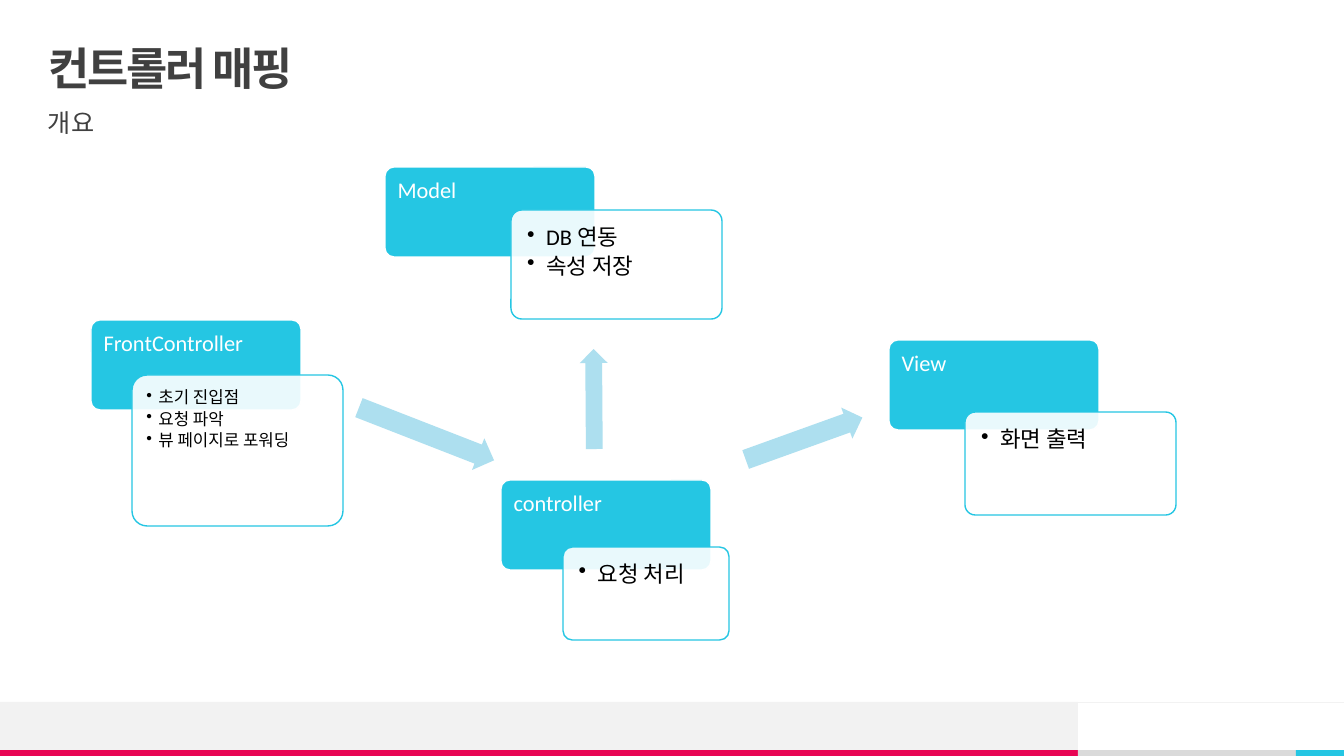
import pptx
import pptx.util
import pptx.dml.color
import pptx.enum.shapes
import pptx.enum.text
import pptx.oxml.ns
import lxml.etree

PX = 12192000 / 1344
KIND = pptx.enum.shapes.MSO_SHAPE
ANCHOR = pptx.enum.text.MSO_ANCHOR
qn = pptx.oxml.ns.qn
theme = {
    "font": "Calibri",
    "cyan": "25C6E3", "pale": "ADDFEF", "pink": "E80554", "white": "FFFFFF",
    "black": "000000", "dark": "404040", "mist": "F2F2F2", "gray": "DADADA",
    "title": 32, "sub": 18, "head": 16, "small": 12,
}

deck = pptx.Presentation()
deck.slide_width, deck.slide_height = round(1344 * PX), round(756 * PX)
slide = deck.slides.add_slide(deck.slide_layouts[5])
shapes = slide.shapes


def draw(kind, box, fill, line=None):
    shape = shapes.add_shape(kind, *[round(n * PX) for n in box])
    shape.shadow.inherit = False
    shape.fill.solid()
    shape.fill.fore_color.rgb = pptx.dml.color.RGBColor.from_string(theme[fill])
    if line:
        shape.line.color.rgb = pptx.dml.color.RGBColor.from_string(theme[line])
        shape.line.width = pptx.util.Pt(1)
    else:
        shape.line.fill.background()
    return shape


def write(shape, text, size, color, pad=0, anchor=ANCHOR.TOP, bold=False):
    frame = shape.text_frame
    frame.text = text
    frame.word_wrap = True
    frame.auto_size = pptx.enum.text.MSO_AUTO_SIZE.NONE
    frame.vertical_anchor = anchor
    frame.margin_left = frame.margin_right = frame.margin_top = round(pad * PX)
    frame.margin_bottom = 0
    for para in frame.paragraphs:
        para.alignment = pptx.enum.text.PP_ALIGN.LEFT
        para.line_spacing = 0.9
        for run in para.runs:
            run.font.name = theme["font"]
            run.font.size = pptx.util.Pt(theme[size])
            run.font.bold = bold
            run.font.color.rgb = pptx.dml.color.RGBColor.from_string(theme[color])
    return frame


bands = [
    ((0, 702, 1078, 48), "mist"),
    ((0, 750, 1078, 6), "pink"),
    ((1078, 750, 218, 6), "gray"),
    ((1296, 750, 48, 6), "cyan"),
]
for box, fill in bands:
    draw(KIND.RECTANGLE, box, fill)

rule = shapes.add_connector(
    pptx.enum.shapes.MSO_CONNECTOR.STRAIGHT,
    round(1344 * PX), round(702 * PX), 0, round(702 * PX))
rule.line.color.rgb = pptx.dml.color.RGBColor.from_string(theme["mist"])
rule.line.width = pptx.util.Pt(0.5)
lxml.etree.SubElement(rule._element.spPr, qn("a:effectLst"))

title = shapes.title
title.left, title.top, title.width, title.height = [
    round(n * PX) for n in (48, 47, 1249, 47)]
frame = write(title, "컨트롤러 매핑", "title", "dark", anchor=ANCHOR.MIDDLE, bold=True)
frame.paragraphs[0].runs[0].font._element.set("spc", "-150")
sub = shapes.add_textbox(*[round(n * PX) for n in (48, 111, 1250, 39)])
write(sub, "개요", "sub", "dark")

cards = [
    ("FrontController", (91, 320), (132, 375, 211, 151),
     "초기 진입점\n요청 파악\n뷰 페이지로 포워딩", "small", 10, 12),
    ("controller", (501, 480), (563, 547, 166, 93), "요청 처리", "head", 13, 19),
    ("View", (889, 340), (965, 412, 211, 103), "화면 출력", "head", 13, 19),
    ("Model", (385, 167), (511, 210, 211, 109), "DB 연동\n속성 저장", "head", 13, 19),
]
for name, spot, box, notes, size, pad, dent in cards:
    head = draw(KIND.ROUNDED_RECTANGLE, (*spot, 210, 90), "cyan", "white")
    head.adjustments[0] = 0.1
    write(head, name, "head", "white", 10)
    body = draw(KIND.ROUNDED_RECTANGLE, box, "white", "cyan")
    body.adjustments[0] = 0.1
    tint = body._element.spPr.find(qn("a:solidFill"))[0]
    lxml.etree.SubElement(tint, qn("a:alpha"), val="90000")
    for para in write(body, notes, size, "black", pad).paragraphs:
        para.space_after = pptx.util.Pt(theme[size] * 0.2)
        props = para._p.get_or_add_pPr()
        props.set("marL", str(round(dent * PX)))
        props.set("indent", str(round(-dent * PX)))
        lxml.etree.SubElement(props, qn("a:buChar"), char="•")

arrows = [
    ((354, 417, 145, 34), 21.3),
    ((742, 422, 124, 33), 340.2),
    ((544, 385, 100, 28), 269.6),
]
for box, turn in arrows:
    arrow = draw(KIND.RIGHT_ARROW, box, "pale")
    arrow.adjustments[0] = 0.6
    arrow.rotation = turn

deck.save("out.pptx")
